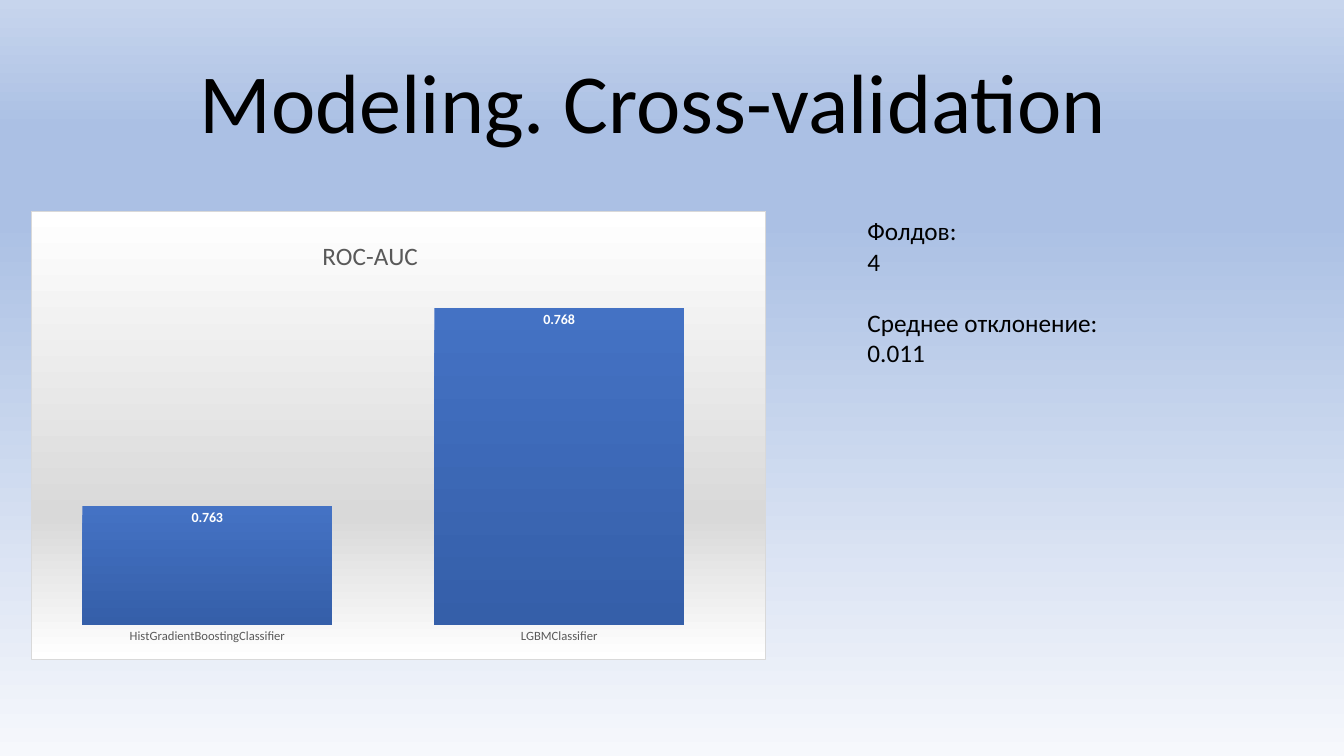
"""Build the cross-validation slide with a ROC-AUC column chart."""
import pptx
import pptx.chart.data
import pptx.dml.color
import pptx.enum.chart
import pptx.enum.text
import pptx.oxml
import pptx.oxml.ns
import pptx.util

Pt = pptx.util.Pt
NAMESPACES = pptx.oxml.ns.nsdecls("a", "c")


def style_font(font, size, color, bold=False):
    font.name, font.size, font.bold = "Calibri", Pt(size), bold
    font.color.rgb = pptx.dml.color.RGBColor.from_string(color)


def gradient(stops, angle):
    marks = "".join(
        f'<a:gs pos="{place * 1000}"><a:srgbClr val="{color}"/></a:gs>' for place, color in stops
    )
    return (f'<a:gradFill {NAMESPACES} rotWithShape="1"><a:gsLst>{marks}</a:gsLst>'
            f'<a:lin ang="{angle * 60000}" scaled="0"/></a:gradFill>')


deck = pptx.Presentation()
deck.slide_width, deck.slide_height = Pt(960), Pt(540)
page = deck.slides.add_slide(deck.slide_layouts[5])
page.background.fill.solid()
backdrop = page._element.cSld.bg.bgPr
backdrop.replace(backdrop[0], pptx.oxml.parse_xml(gradient(
    [(0, "F6F8FC"), (71, "ABC0E4"), (83, "ABC0E4"), (100, "C7D5ED")], 270)))

title = page.shapes.title
title.left, title.top, title.width, title.height = Pt(106.5), Pt(39), Pt(720), Pt(72.7)
title.text_frame.text = "Modeling. Cross-validation"
title.text_frame.vertical_anchor = pptx.enum.text.MSO_ANCHOR.BOTTOM
title.text_frame.auto_size = pptx.enum.text.MSO_AUTO_SIZE.NONE
heading = title.text_frame.paragraphs[0]
heading.alignment = pptx.enum.text.PP_ALIGN.CENTER
heading.line_spacing = 0.9
style_font(heading.font, 60, "000000")

summary = page.shapes.add_textbox(Pt(612.5), Pt(150.5), Pt(185), Pt(116.6)).text_frame
summary.word_wrap = False
summary.auto_size = pptx.enum.text.MSO_AUTO_SIZE.SHAPE_TO_FIT_TEXT
summary.text = "Фолдов:\n4\nCреднее отклонение:\n0.011"
for para in summary.paragraphs:
    style_font(para.font, 18, "000000")
summary.paragraphs[2].space_before = Pt(22)

scores = pptx.chart.data.CategoryChartData(number_format="0.000")
scores.categories = ["HistGradientBoostingClassifier", "LGBMClassifier"]
scores.add_series("Series 1", [0.763, 0.768])
chart = page.shapes.add_chart(
    pptx.enum.chart.XL_CHART_TYPE.COLUMN_CLUSTERED,
    Pt(22), Pt(150.5), Pt(525.5), Pt(321), scores).chart
style_font(chart.font, 10, "000000")
chart.has_legend = False
chart.has_title = True
chart.chart_title.include_in_layout = False
chart.chart_title.text_frame.text = "ROC-AUC"
style_font(chart.chart_title.text_frame.paragraphs[0].font, 18, "595959")

category_axis, value_axis = chart.category_axis, chart.value_axis
category_axis.major_tick_mark = pptx.enum.chart.XL_TICK_MARK.NONE
category_axis.format.line.fill.background()
style_font(category_axis.tick_labels.font, 9, "595959")
value_axis.minimum_scale, value_axis.maximum_scale = 0.76, 0.769
value_axis.has_major_gridlines = False
value_axis.visible = False

plot = chart.plots[0]
plot.gap_width = 41
plot.vary_by_categories = False
bars = plot.series[0]
bars.invert_if_negative = False
bars._element.get_or_add_spPr().append(
    pptx.oxml.parse_xml(gradient([(0, "4472C4"), (100, "355FA9")], 90)))
labels = bars.data_labels
labels.show_value = True
labels.number_format, labels.number_format_is_linked = "0.000", False
labels.position = pptx.enum.chart.XL_LABEL_POSITION.INSIDE_END
style_font(labels.font, 10, "FFFFFF", bold=True)

panel_fill = gradient([(0, "FFFFFF"), (68, "D9D9D9"), (100, "FFFFFF")], 90)
chart_body = chart._chartSpace.find(pptx.oxml.ns.qn("c:chart"))
chart_body.addnext(pptx.oxml.parse_xml(
    f'<c:spPr {NAMESPACES}>{panel_fill}<a:ln w="9525"><a:solidFill>'
    '<a:srgbClr val="D9D9D9"/></a:solidFill></a:ln></c:spPr>'))

title_place = {"xMode": "edge", "yMode": "edge", "x": 0.39, "y": 0.05}
plot_place = {"layoutTarget": "inner", "xMode": "edge", "yMode": "edge",
              "x": 0, "y": 0.127, "w": 0.958, "h": 0.797}
for holder, place in ((chart.chart_title._element, title_place),
                      (chart_body.plotArea, plot_place)):
    for old_layout in holder.findall(pptx.oxml.ns.qn("c:layout")):
        holder.remove(old_layout)
    settings = "".join(f'<c:{name} val="{value}"/>' for name, value in place.items())
    layout = pptx.oxml.parse_xml(
        f"<c:layout {NAMESPACES}><c:manualLayout>{settings}</c:manualLayout></c:layout>")
    text = holder.find(pptx.oxml.ns.qn("c:tx"))
    if text is None:
        holder.insert(0, layout)
    else:
        text.addnext(layout)

deck.save("out.pptx")
